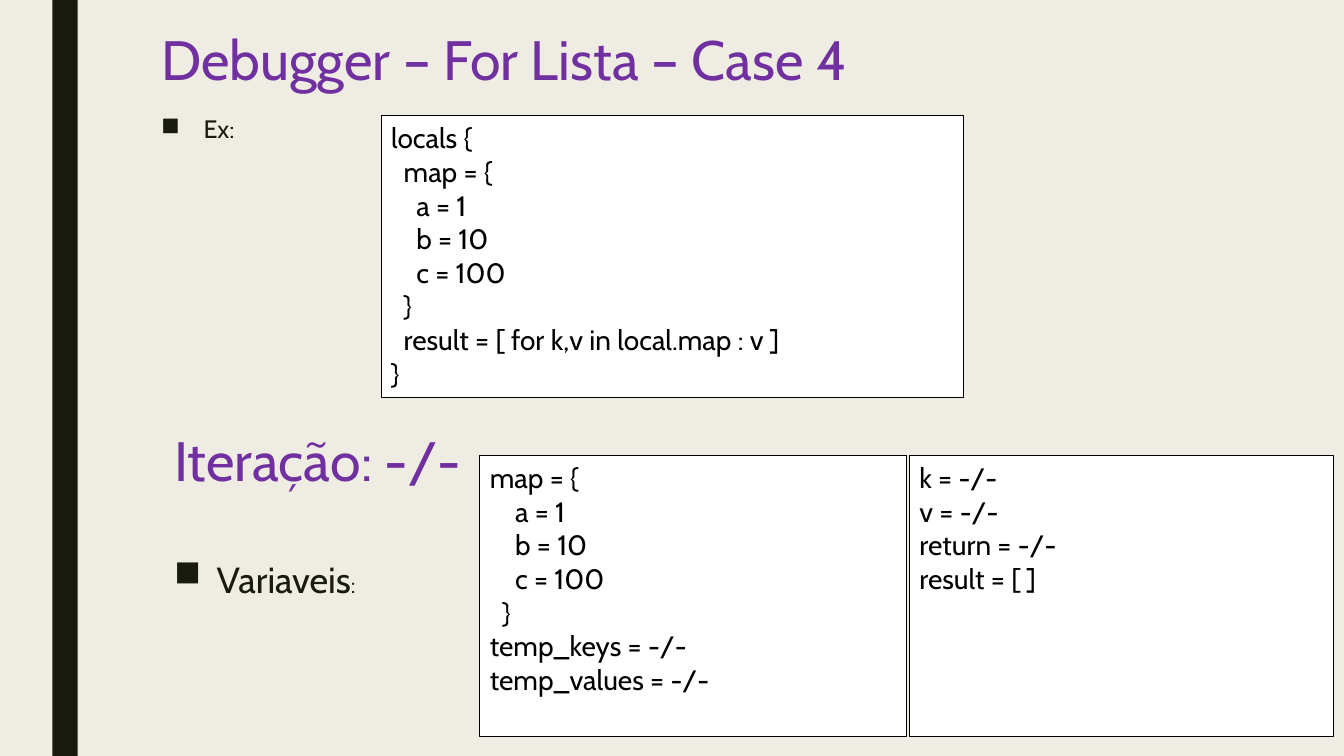
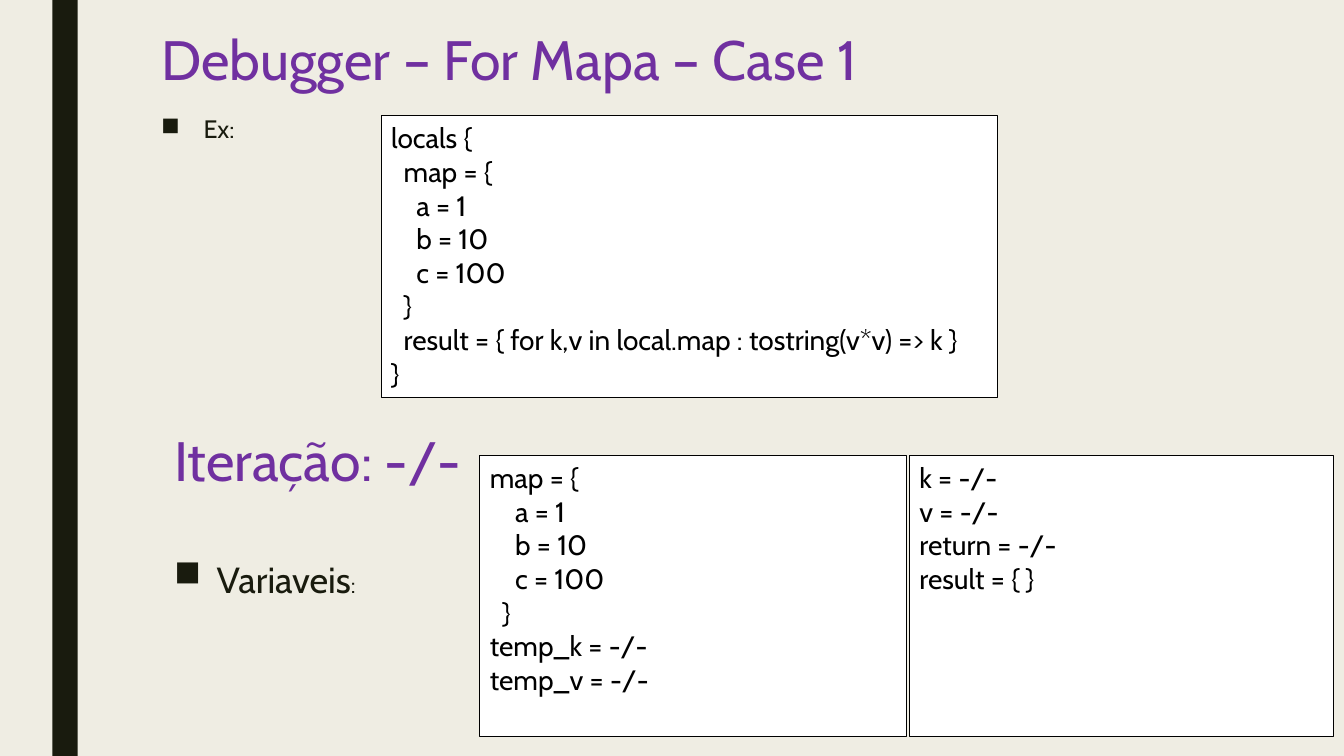
from lxml import etree
from pptx import Presentation
from pptx.dml.color import RGBColor
from pptx.enum.shapes import MSO_SHAPE
from pptx.enum.text import MSO_ANCHOR, PP_ALIGN
from pptx.oxml.ns import qn
from pptx.util import Inches, Pt

RECT = MSO_SHAPE.RECTANGLE
LEFT = PP_ALIGN.LEFT
TOP, MIDDLE = MSO_ANCHOR.TOP, MSO_ANCHOR.MIDDLE

FONT = "Cabin"
PAPER, INK, PURPLE = "EFEDE3", "191B0E", "7030A0"
WHITE, BLACK = "FFFFFF", "000000"

HEAD = {"line_spacing": 0.89}
STEP = {"line_spacing": 0.79}
LABEL = {"line_spacing": 0.94, "space_after": Pt(2)}
VARS = {"line_spacing": 0.74, "space_after": Pt(2)}
CODE = {"alignment": LEFT}

MAP = ["map = {", "    a = 1", "    b = 10", "    c = 100", "  }"]
CASES = [
    {
        "title": "Debugger – For Lista – Case 4",
        "width": 5.78,
        "result": "[ for k,v in local.map : v ]",
        "temps": ["temp_keys", "temp_values"],
        "empty": "[ ]",
    },
    {
        "title": "Debugger – For Mapa – Case 1",
        "width": 6.11,
        "result": "{ for k,v in local.map : tostring(v*v) => k }",
        "temps": ["temp_k", "temp_v"],
        "empty": "{ }",
    },
]


def color(code):
    return RGBColor.from_string(code)


def style(item, values):
    for name, value in values.items():
        setattr(item, name, value)


def add_rect(slide, box, fill, line=None):
    rect = slide.shapes.add_shape(RECT, *map(Inches, box))
    rect.shadow.inherit = False
    rect.fill.solid()
    rect.fill.fore_color.rgb = color(fill)
    if line:
        rect.line.color.rgb = color(line)
        rect.line.width = Pt(0.75)
    else:
        rect.line.fill.background()
    return rect


def add_run(para, text, size, tint):
    run = para.add_run()
    run.text = text
    style(run.font, {"name": FONT, "size": Pt(size)})
    run.font.color.rgb = color(tint)


def add_bullet(para):
    props = para._p.get_or_add_pPr()
    indent = Inches(0.42)
    props.set("marL", str(indent))
    props.set("indent", str(-indent))
    etree.SubElement(props, qn("a:buChar")).set("char", "■")


def add_text(slide, box, runs, tint, look, anchor=TOP, bullet=False):
    """Add one paragraph; runs holds (text, size) pairs."""
    frame = slide.shapes.add_textbox(*map(Inches, box)).text_frame
    style(frame, {"word_wrap": True, "vertical_anchor": anchor})
    para = frame.paragraphs[0]
    if bullet:
        add_bullet(para)
    style(para, look)
    for text, size in runs:
        add_run(para, text, size, tint)


def add_code(slide, left, top, width, lines):
    rect = add_rect(slide, (left, top, width, 2.79), WHITE, BLACK)
    frame = rect.text_frame
    style(frame, {"word_wrap": True, "vertical_anchor": TOP})
    for i, line in enumerate(lines):
        para = frame.add_paragraph() if i else frame.paragraphs[0]
        style(para, CODE)
        add_run(para, line, 20, BLACK)


def add_case(deck, case):
    slide = deck.slides.add_slide(deck.slide_layouts[6])
    add_rect(slide, (0.52, 0, 0.25, 7.5), INK)

    add_text(slide, (1.5, 0.28, 10.5, 0.68), [(case["title"], 39.6)],
             PURPLE, HEAD, MIDDLE)
    add_text(slide, (1.5, 1.1, 1.19, 0.46), [("Ex:", 18)],
             INK, LABEL, bullet=True)
    source = ["locals {", "  map = {", *MAP[1:],
              f"  result = {case['result']}", "}"]
    add_code(slide, 3.78, 1.15, case["width"], source)

    add_text(slide, (1.63, 4.28, 10.5, 0.68), [("Iteração: -/-", 39.6)],
             PURPLE, STEP, MIDDLE)
    add_text(slide, (1.63, 5.58, 3.46, 0.46),
             [("Variaveis", 25.9), (":", 16.6)], INK, VARS, bullet=True)
    temps = [f"{name} = -/-" for name in case["temps"]]
    state = [f"{name} = -/-" for name in ("k", "v", "return")]
    add_code(slide, 4.76, 4.52, 4.23, MAP + temps)
    add_code(slide, 9.02, 4.52, 4.21, state + [f"result = {case['empty']}"])


def main():
    deck = Presentation()
    deck.slide_width, deck.slide_height = Inches(13.33), Inches(7.5)
    fill = deck.slide_master.background.fill
    fill.solid()
    fill.fore_color.rgb = color(PAPER)
    for case in CASES:
        add_case(deck, case)
    deck.save("out.pptx")


if __name__ == "__main__":
    main()
